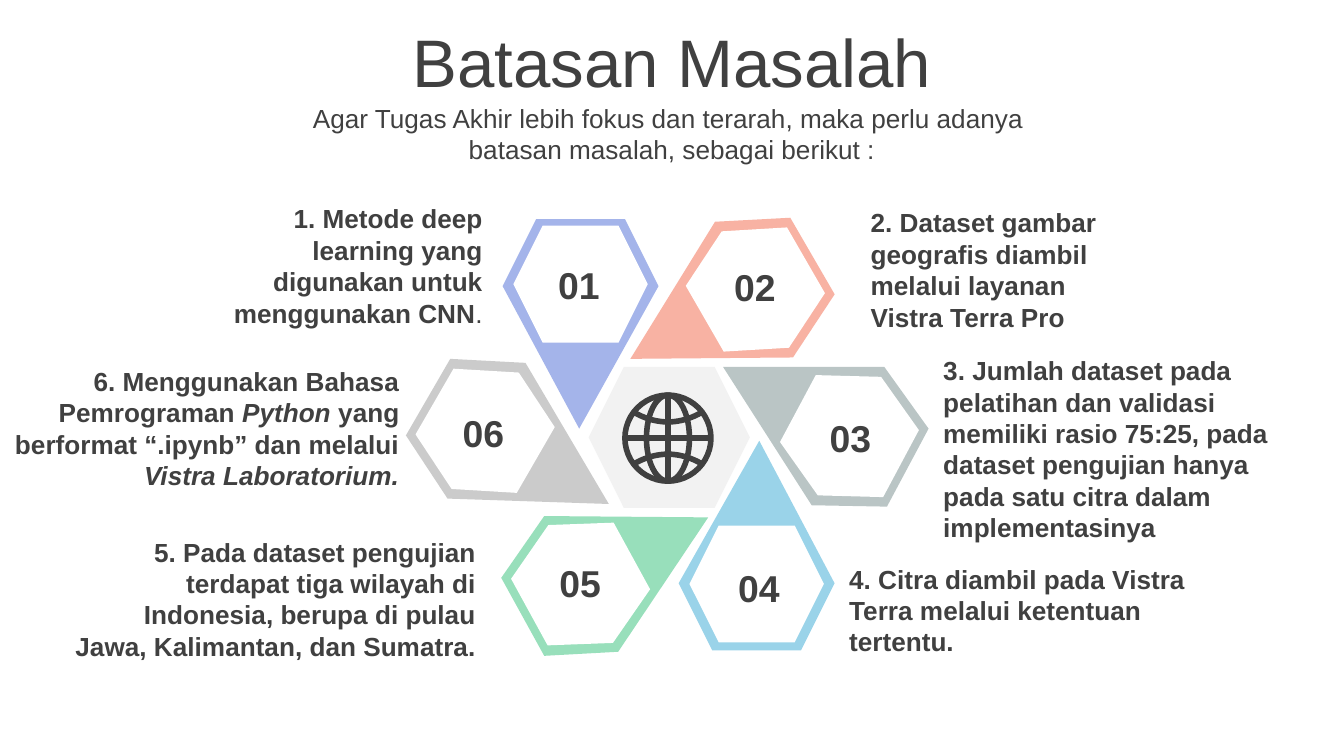
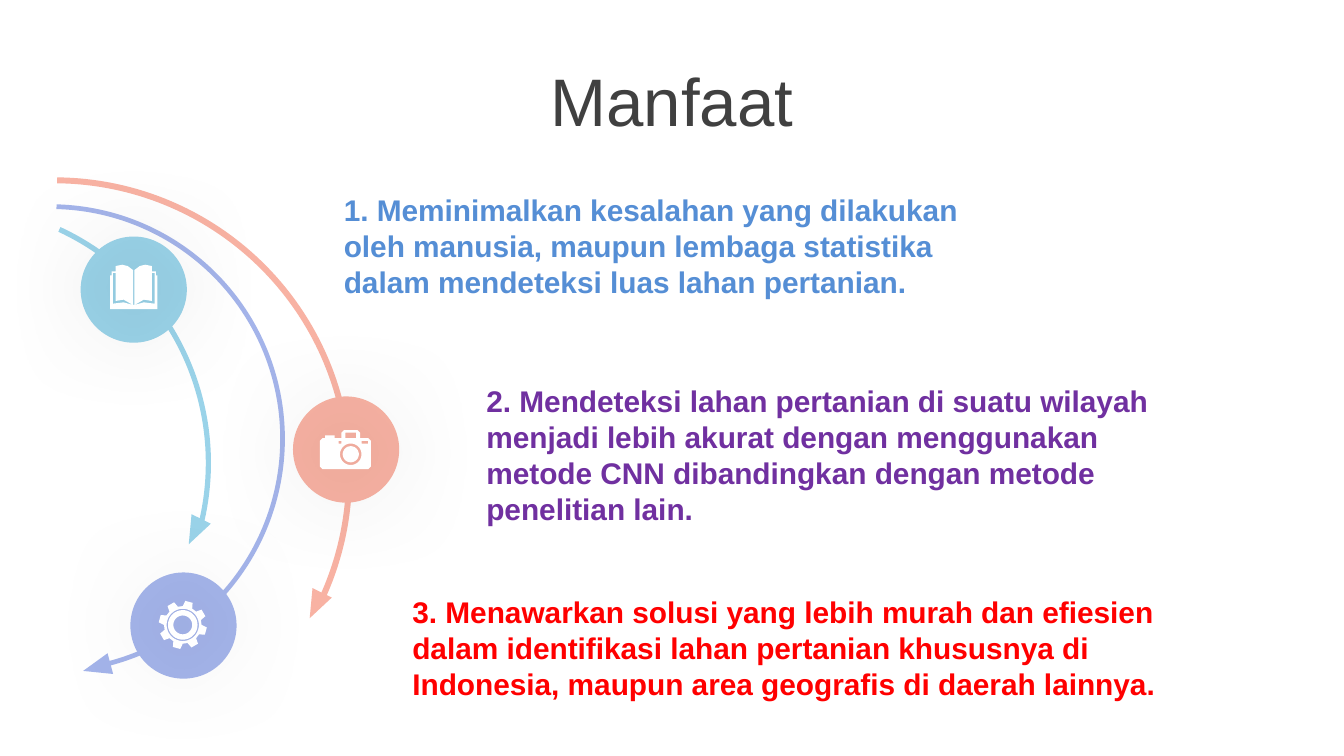
import math

import lxml.etree
import pptx
import pptx.dml.color
import pptx.enum.shapes
import pptx.enum.text
import pptx.oxml.ns
import pptx.util

Inches = pptx.util.Inches
SHAPE = pptx.enum.shapes.MSO_SHAPE
ALIGN = pptx.enum.text.PP_ALIGN
ANCHOR = pptx.enum.text.MSO_ANCHOR

DARK, WHITE, PALE = "404040", "FFFFFF", "F2F2F2"
INDIGO, CORAL, SLATE = "A4B4EA", "F8B2A3", "BAC5C5"
SKY, MINT, GREY = "9AD3E9", "98DFBB", "CBCBCB"


def rgb(color):
    return pptx.dml.color.RGBColor.from_string(color)


def circle(cx, cy, r, steps=48):
    angles = [2 * math.pi * i / steps for i in range(steps)]
    return [(cx + r * math.cos(a), cy + r * math.sin(a)) for a in angles]


def rect(left, top, right, bottom):
    return [(left, top), (right, top), (right, bottom), (left, bottom)]


class Deck:
    """Hold the shared style and the current slide, and draw elements on it."""

    def __init__(self):
        self.prs = pptx.Presentation()
        self.prs.slide_width = Inches(10)
        self.prs.slide_height = Inches(10 * 9 / 16)
        self.font = "Arial"
        self.s = None

    def slide(self, title, top):
        self.s = self.prs.slides.add_slide(self.prs.slide_layouts[6])
        self.text(0, top, 10, 0.63, title, 36, align=ALIGN.CENTER, anchor=ANCHOR.MIDDLE, bold=False)

    def text(self, x, y, w, h, text, size, color=DARK, align=ALIGN.LEFT,
             anchor=ANCHOR.TOP, bold=True, wrap=True):
        """Add a text box; text is a string or a list of (text, bold, italic)."""
        tf = self.s.shapes.add_textbox(Inches(x), Inches(y), Inches(w), Inches(h)).text_frame
        tf.word_wrap = wrap
        tf.vertical_anchor = anchor
        p = tf.paragraphs[0]
        p.alignment = align
        p.font.name = self.font
        p.font.size = pptx.util.Pt(size)
        p.font.color.rgb = rgb(color)
        if isinstance(text, str):
            p.font.bold = bold
            p.text = text
            return
        for words, strong, slanted in text:
            r = p.add_run()
            r.text = words
            r.font.bold = strong
            r.font.italic = slanted

    def paint(self, sp, fill, line=None):
        sp.shadow.inherit = False
        if fill:
            sp.fill.solid()
            sp.fill.fore_color.rgb = rgb(fill)
        else:
            sp.fill.background()
        if line:
            sp.line.color.rgb = rgb(line)
            sp.line.width = pptx.util.Pt(3)
        else:
            sp.line.fill.background()
        return sp

    def shape(self, kind, x, y, w, h, fill, line=None, rot=0, adjust=()):
        sp = self.s.shapes.add_shape(kind, Inches(x), Inches(y), Inches(w), Inches(h))
        sp.rotation = rot
        for i, value in enumerate(adjust):
            sp.adjustments[i] = value
        return self.paint(sp, fill, line)

    def outline(self, contours, fill, line=None):
        """Draw contours as one freeform, closed where it is filled."""
        contours = [[(Inches(x), Inches(y)) for x, y in c] for c in contours]
        fb = self.s.shapes.build_freeform(*contours[0][0])
        for i, c in enumerate(contours):
            if i:
                fb.move_to(*c[0])
            fb.add_line_segments(c[1:], close=bool(fill))
        return self.paint(fb.convert_to_shape(), fill, line)

    def line(self, x1, y1, x2, y2, color):
        cn = self.s.shapes.add_connector(pptx.enum.shapes.MSO_CONNECTOR.STRAIGHT,
                                         Inches(x1), Inches(y1), Inches(x2), Inches(y2))
        cn.line.color.rgb = rgb(color)
        cn.line.width = pptx.util.Pt(3)
        lxml.etree.SubElement(cn._element.spPr, pptx.oxml.ns.qn("a:effectLst"))

    def icon(self, contours):
        """Draw a white icon with a wide soft shadow."""
        qn = pptx.oxml.ns.qn
        sp = self.outline(contours, WHITE)
        effects = sp._element.spPr.find(qn("a:effectLst"))
        shadow = lxml.etree.SubElement(effects, qn("a:outerShdw"), blurRad=str(pptx.util.Pt(63)),
                                       dist="0", algn="ctr", rotWithShape="0")
        black = lxml.etree.SubElement(shadow, qn("a:srgbClr"), val="000000")
        lxml.etree.SubElement(black, qn("a:alpha"), val="40000")

    def globe(self, cx, cy, r):
        self.shape(SHAPE.OVAL, cx - r, cy - r, 2 * r, 2 * r, None, DARK)
        self.shape(SHAPE.OVAL, cx - r / 2, cy - r, r, 2 * r, None, DARK)
        self.line(cx - r, cy, cx + r, cy, DARK)
        self.line(cx, cy - r, cx, cy + r, DARK)
        steps = [i / 10 for i in range(-10, 11)]
        for side in (-1, 1):
            self.outline([[(cx + 0.25 * t, cy + side * (0.12 + 0.07 * t * t)) for t in steps]],
                         None, DARK)


def book():
    half = [(1, 2.27), (1.07, 2.25), (1.15, 2.26), (1.15, 2.03), (1.13, 2.03), (1.13, 2.24),
            (1.07, 2.23), (1, 2.27), (1, 2.01), (1.04, 1.98), (1.08, 1.97), (1.13, 1.98),
            (1.13, 2.02), (1.16, 2.02), (1.16, 2.05), (1.17, 2.05), (1.17, 2.3)]
    return [half + [(1.99 - x, y) for x, y in reversed(half)]]


def gear():
    cx, cy = 1.36, 4.65
    teeth = []
    for k in range(8):
        for offset, r in ((-15, 0.14), (-9, 0.18), (9, 0.18), (15, 0.14)):
            a = math.radians(15 + 45 * k + offset)
            teeth.append((cx + r * math.cos(a), cy + r * math.sin(a)))
    return [teeth] + [circle(cx, cy, r) for r in (0.12, 0.11, 0.07)]


def camera():
    body = [(2.38, 3.28), (2.4, 3.26), (2.42, 3.26), (2.42, 3.24), (2.49, 3.24), (2.49, 3.26),
            (2.54, 3.26), (2.54, 3.22), (2.56, 3.2), (2.66, 3.2), (2.68, 3.22), (2.68, 3.26),
            (2.74, 3.26), (2.76, 3.28), (2.76, 3.47), (2.74, 3.49), (2.4, 3.49), (2.38, 3.47)]
    return [body, rect(2.57, 3.22, 2.65, 3.26), rect(2.52, 3.28, 2.54, 3.3),
            rect(2.69, 3.28, 2.74, 3.3), circle(2.61, 3.38, 0.08), circle(2.61, 3.38, 0.06)]


def limits_slide(deck):
    deck.slide("Batasan Masalah", 0.14)
    deck.text(0, 0.84, 10, 0.31, "Agar Tugas Akhir lebih fokus dan terarah, maka perlu adanya \v"
              "batasan masalah, sebagai berikut :", 14, align=ALIGN.CENTER,
              anchor=ANCHOR.MIDDLE, bold=False)
    deck.shape(SHAPE.HEXAGON, 4.38, 2.73, 1.2, 1.05, PALE)
    petals = [
        (INDIGO, [(3.99, 1.63), (4.65, 1.63), (4.9, 2.13), (4.31, 3.19), (3.74, 2.13)],
         3.82, 1.68, 0, 4.05, 1.9),
        (CORAL, [(5.88, 1.62), (6.21, 2.19), (5.9, 2.66), (4.69, 2.67), (5.32, 1.65)],
         5.12, 1.72, 60, 5.36, 1.92),
        (SLATE, [(6.91, 3.19), (6.6, 3.77), (6.04, 3.76), (5.38, 2.73), (6.58, 2.73)],
         5.82, 2.81, 118.1, 6.07, 3.04),
        (SKY, [(5.96, 4.84), (5.3, 4.84), (5.05, 4.34), (5.65, 3.28), (6.21, 4.34)],
         5.13, 3.91, 180, 5.39, 4.16),
        (MINT, [(4.05, 4.88), (3.73, 4.3), (4.05, 3.84), (5.27, 3.85), (4.6, 4.85)],
         3.82, 3.91, 241.3, 4.06, 4.12),
        (GREY, [(3.02, 3.24), (3.35, 2.67), (3.91, 2.7), (4.53, 3.75), (3.33, 3.71)],
         3.11, 2.77, 300, 3.34, 3),
    ]
    for number, (color, points, x, y, rot, label_x, label_y) in enumerate(petals, 1):
        deck.outline([points], color)
        deck.shape(SHAPE.HEXAGON, x, y, 1, 0.87, WHITE, rot=rot)
        deck.text(label_x, label_y, 0.51, 0.44, f"{number:02}", 20, align=ALIGN.RIGHT, wrap=False)
    deck.globe(4.97, 3.26, 0.32)

    limits = [
        (1.64, 1.46, 2.05, 1.04, ALIGN.RIGHT,
         [("1. Metode deep learning yang digunakan untuk menggunakan CNN", True, False),
          (".", False, False)]),
        (6.38, 1.49, 2.11, 1.04, ALIGN.LEFT,
         "2. Dataset gambar geografis diambil melalui layanan Vistra Terra Pro"),
        (6.92, 2.59, 2.76, 1.51, ALIGN.LEFT,
         "3. Jumlah dataset pada pelatihan dan validasi memiliki rasio 75:25, pada dataset "
         "pengujian hanya pada satu citra dalam implementasinya"),
        (0.41, 3.94, 3.23, 1.04, ALIGN.RIGHT,
         "5. Pada dataset pengujian terdapat tiga wilayah di Indonesia, berupa di pulau Jawa, "
         "Kalimantan, dan Sumatra. "),
        (-0.16, 2.67, 3.23, 1.04, ALIGN.RIGHT,
         [("6. Menggunakan Bahasa Pemrograman ", True, False), ("Python ", True, True),
          ("yang berformat “.ipynb” dan melalui ", True, False),
          ("Vistra Laboratorium.", True, True)]),
        (6.22, 4.14, 2.94, 0.81, ALIGN.LEFT,
         "4. Citra diambil pada Vistra Terra melalui ketentuan tertentu."),
    ]
    for x, y, w, h, align, text in limits:
        deck.text(x, y, w, h, text, 14, align=align)


def benefits_slide(deck):
    deck.slide("Manfaat", 0.43)
    for x, y, color in ((0.97, 4.26, INDIGO), (0.6, 1.76, SKY), (2.18, 2.95, CORAL)):
        deck.shape(SHAPE.OVAL, x, y, 0.79, 0.79, color)
    arrows = [
        (INDIGO, -1.37, 1.52, 3.49, (162.91, 45.77, 0.01), 0.64, 4.86, 255),
        (CORAL, -1.81, 1.32, 4.43, (162.33, 14.31, 0.01), 2.27, 4.4, 206.2),
        (SKY, -2.3, 1.51, 3.87, (176.95, 8.5, 0.01), 1.37, 3.85, 206.2),
    ]
    for color, x, y, size, adjust, tip_x, tip_y, rot in arrows:
        deck.shape(SHAPE.BLOCK_ARC, x, y, size, size, color, adjust=adjust)
        deck.shape(SHAPE.ISOSCELES_TRIANGLE, tip_x, tip_y, 0.16, 0.21, color, rot=rot)
    for contours in (book(), gear(), camera()):
        deck.icon(contours)

    benefits = [
        (2.46, 1.38, 4.93, 1.18, "558ED5",
         "1. Meminimalkan kesalahan yang dilakukan oleh manusia, maupun lembaga statistika "
         "dalam mendeteksi luas lahan pertanian."),
        (3.52, 2.8, 5.19, 1.18, "7030A0",
         "2. Mendeteksi lahan pertanian di suatu wilayah menjadi lebih akurat dengan "
         "menggunakan metode CNN dibandingkan dengan metode penelitian lain."),
        (2.97, 4.37, 5.74, 0.91, "FF0000",
         "3. Menawarkan solusi yang lebih murah dan efiesien dalam identifikasi lahan "
         "pertanian khususnya di Indonesia, maupun area geografis di daerah lainnya."),
    ]
    for x, y, w, h, color, text in benefits:
        deck.text(x, y, w, h, text, 16, color)


def main():
    deck = Deck()
    limits_slide(deck)
    benefits_slide(deck)
    deck.prs.save("out.pptx")


if __name__ == "__main__":
    main()
